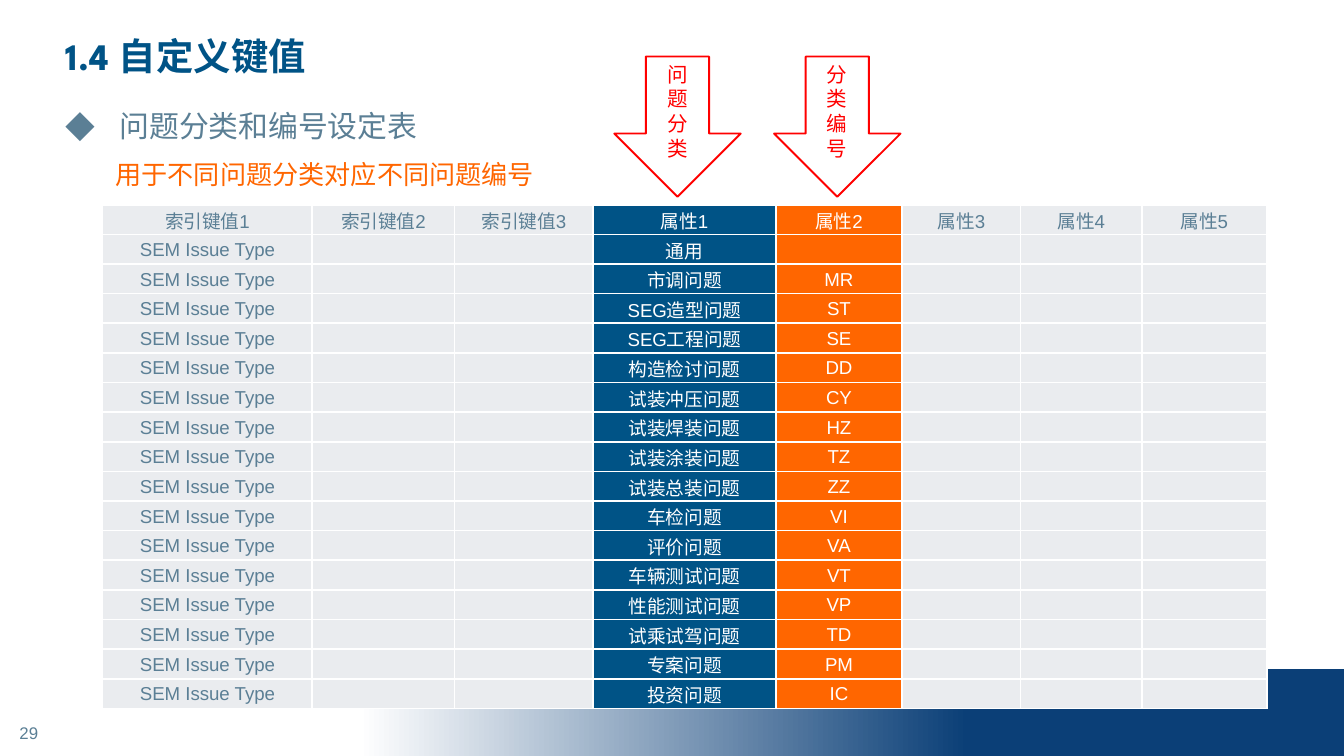
from lxml.etree import SubElement
from pptx import Presentation
from pptx.dml.color import RGBColor
from pptx.enum.shapes import MSO_SHAPE as Shape
from pptx.enum.text import MSO_ANCHOR as Anchor, MSO_AUTO_SIZE as AutoSize, PP_ALIGN as Align
from pptx.oxml.ns import qn
from pptx.util import Cm, Pt

COLORS = {
    "white": "FFFFFF", "blue": "005386", "slate": "5B7F95", "orange": "FF6600",
    "gray": "EAECEF", "navy": "0B3F77", "red": "FF0000",
}
CJK_FONT = "Noto Sans CJK SC"

# Table content
ISSUE_TYPE = "SEM Issue Type"
HEADINGS = [f"索引键值{n}" for n in range(1, 4)] + [f"属性{n}" for n in range(1, 6)]
ISSUE_CODES = [
    ("通用", ""), ("市调问题", "MR"), ("SEG造型问题", "ST"), ("SEG工程问题", "SE"),
    ("构造检讨问题", "DD"), ("试装冲压问题", "CY"), ("试装焊装问题", "HZ"),
    ("试装涂装问题", "TZ"), ("试装总装问题", "ZZ"), ("车检问题", "VI"),
    ("评价问题", "VA"), ("车辆测试问题", "VT"), ("性能测试问题", "VP"),
    ("试乘试驾问题", "TD"), ("专案问题", "PM"), ("投资问题", "IC"),
]
COLUMN_WIDTHS = [3.96, 2.69, 2.62, 3.45, 2.39, 2.24, 2.29, 2.36]
COLUMN_FILLS = {3: "blue", 4: "orange"}
ROW_HEIGHT = 0.56


def color(name):
    return RGBColor.from_string(COLORS[name])


class SlideBuilder:
    def __init__(self, slide):
        self.slide = slide
        self.shapes = slide.shapes

    def run(self, paragraph, text, size, tint, font="Arial", bold=False):
        run = paragraph.add_run()
        run.text = text
        run.font.size = Pt(size)
        run.font.bold = bold
        run.font.color.rgb = color(tint)
        run.font.name = font
        SubElement(run.font._element, qn("a:ea"), typeface=CJK_FONT)

    def title(self, box, text):
        title = self.shapes.title
        title.left, title.top, title.width, title.height = map(Cm, box)
        frame = title.text_frame
        frame.auto_size = AutoSize.NONE
        frame.vertical_anchor = Anchor.MIDDLE
        frame.paragraphs[0].alignment = Align.LEFT
        self.run(frame.paragraphs[0], text, 20, "blue", "League Spartan", True)

    def text(self, box, text, size, tint, font="Arial", align=Align.LEFT,
             anchor=Anchor.TOP, bullet=None):
        frame = self.shapes.add_textbox(*map(Cm, box)).text_frame
        frame.word_wrap = True
        frame.vertical_anchor = anchor
        paragraph = frame.paragraphs[0]
        paragraph.alignment = align
        if bullet:
            paragraph.line_spacing = 1.5
            properties = paragraph._p.get_or_add_pPr()
            properties.set("marL", str(Cm(1.02)))
            properties.set("indent", str(-Cm(1.02)))
            SubElement(properties, qn("a:buFont"), typeface=CJK_FONT)
            SubElement(properties, qn("a:buChar"), char=bullet)
        self.run(paragraph, text, size, tint, font)

    def gradient_band(self, box, stops):
        band = self.shapes.add_shape(Shape.RECTANGLE, *map(Cm, box))
        band.shadow.inherit = False
        band.line.fill.background()
        band.fill.gradient()
        band.fill.gradient_angle = 0
        stop_list = band.fill._fill._gradFill.find(qn("a:gsLst"))
        stop_list.clear()
        for percent, tint in stops:
            stop = SubElement(stop_list, qn("a:gs"), pos=str(percent * 1000))
            SubElement(stop, qn("a:srgbClr"), val=COLORS[tint])

    def down_arrow(self, box, text):
        arrow = self.shapes.add_shape(Shape.DOWN_ARROW, *map(Cm, box))
        arrow.shadow.inherit = False
        arrow.fill.background()
        arrow.line.color.rgb = color("red")
        arrow.line.width = Pt(1)
        frame = arrow.text_frame
        frame.word_wrap = True
        frame.vertical_anchor = Anchor.MIDDLE
        frame.paragraphs[0].alignment = Align.CENTER
        self.run(frame.paragraphs[0], text, 11, "red", "Calibri")

    def table(self, left, top, rows):
        table = self.shapes.add_table(
            len(rows), len(COLUMN_WIDTHS), Cm(left), Cm(top),
            Cm(sum(COLUMN_WIDTHS)), Cm(ROW_HEIGHT * len(rows))).table
        table.first_row = table.horz_banding = False
        for column, width in zip(table.columns, COLUMN_WIDTHS):
            column.width = Cm(width)
        for r, values in enumerate(rows):
            table.rows[r].height = Cm(ROW_HEIGHT)
            for c, value in enumerate(values):
                self.cell(table.cell(r, c), value, COLUMN_FILLS.get(c, "gray"))

    def cell(self, cell, value, fill):
        cell.margin_left = cell.margin_right = cell.margin_top = Cm(0.03)
        cell.margin_bottom = 0
        cell.vertical_anchor = Anchor.MIDDLE
        for side in ("lnL", "lnR", "lnT", "lnB"):
            border = SubElement(cell._tc.get_or_add_tcPr(), qn(f"a:{side}"), w=str(Pt(1)))
            SubElement(SubElement(border, qn("a:solidFill")), qn("a:srgbClr"),
                       val=COLORS["white"])
        cell.fill.solid()
        cell.fill.fore_color.rgb = color(fill)
        paragraph = cell.text_frame.paragraphs[0]
        paragraph.alignment = Align.CENTER
        if value:
            self.run(paragraph, value, 10, "slate" if fill == "gray" else "white")
        else:
            # Keeps an empty cell from stretching its row
            SubElement(paragraph._p, qn("a:endParaRPr"), sz="1000")


def main():
    presentation = Presentation()
    presentation.slide_width, presentation.slide_height = Cm(25.4), Cm(14.29)
    page = SlideBuilder(presentation.slides.add_slide(presentation.slide_layouts[5]))

    # Footer band and page number
    page.gradient_band((0.91, 12.64, 24.49, 1.65),
                       [(0, "white"), (24, "white"), (71, "navy"), (100, "navy")])
    page.text((0, 13.35, 1.09, 0.99), "29", 9, "slate",
              align=Align.CENTER, anchor=Anchor.MIDDLE)

    # Headings
    page.title((0.99, 0.41, 17.15, 1.3), "1.4 自定义键值")
    page.text((0.99, 1.57, 18.75, 1.17), "问题分类和编号设定表", 16, "slate",
              CJK_FONT, bullet="◆")
    page.text((1.93, 2.87, 13.94, 0.86), "用于不同问题分类对应不同问题编号", 14, "orange")

    # Issue categories and their codes
    rows = [HEADINGS] + [[ISSUE_TYPE, "", "", category, code, "", "", ""]
                         for category, code in ISSUE_CODES]
    page.table(1.94, 3.87, rows)

    # Arrows to the two highlighted columns
    for left, label in ((11.61, "问题分类"), (14.63, "分类编号")):
        page.down_arrow((left, 1.07, 2.39, 2.65), label)

    presentation.save("out.pptx")


if __name__ == "__main__":
    main()
